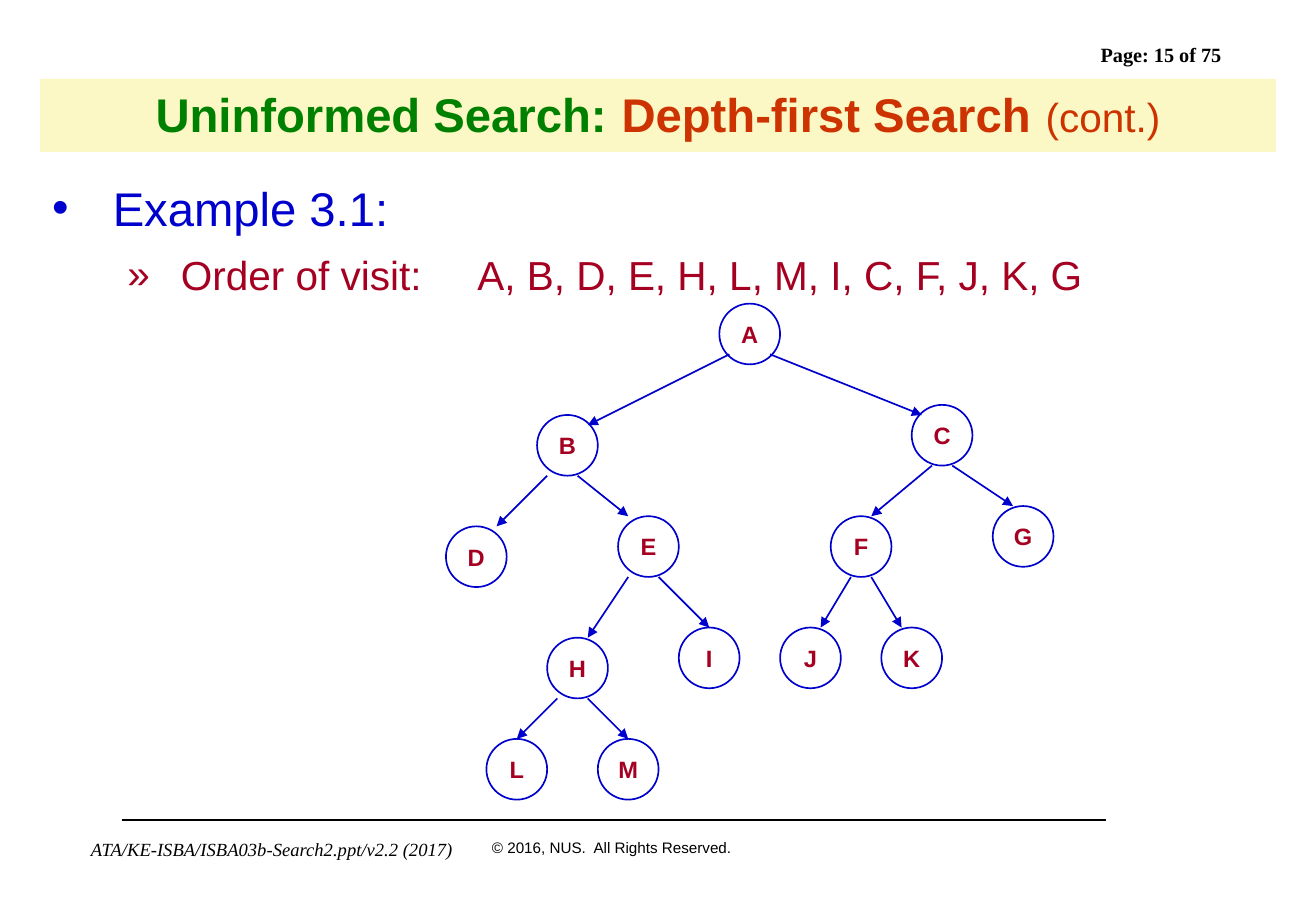
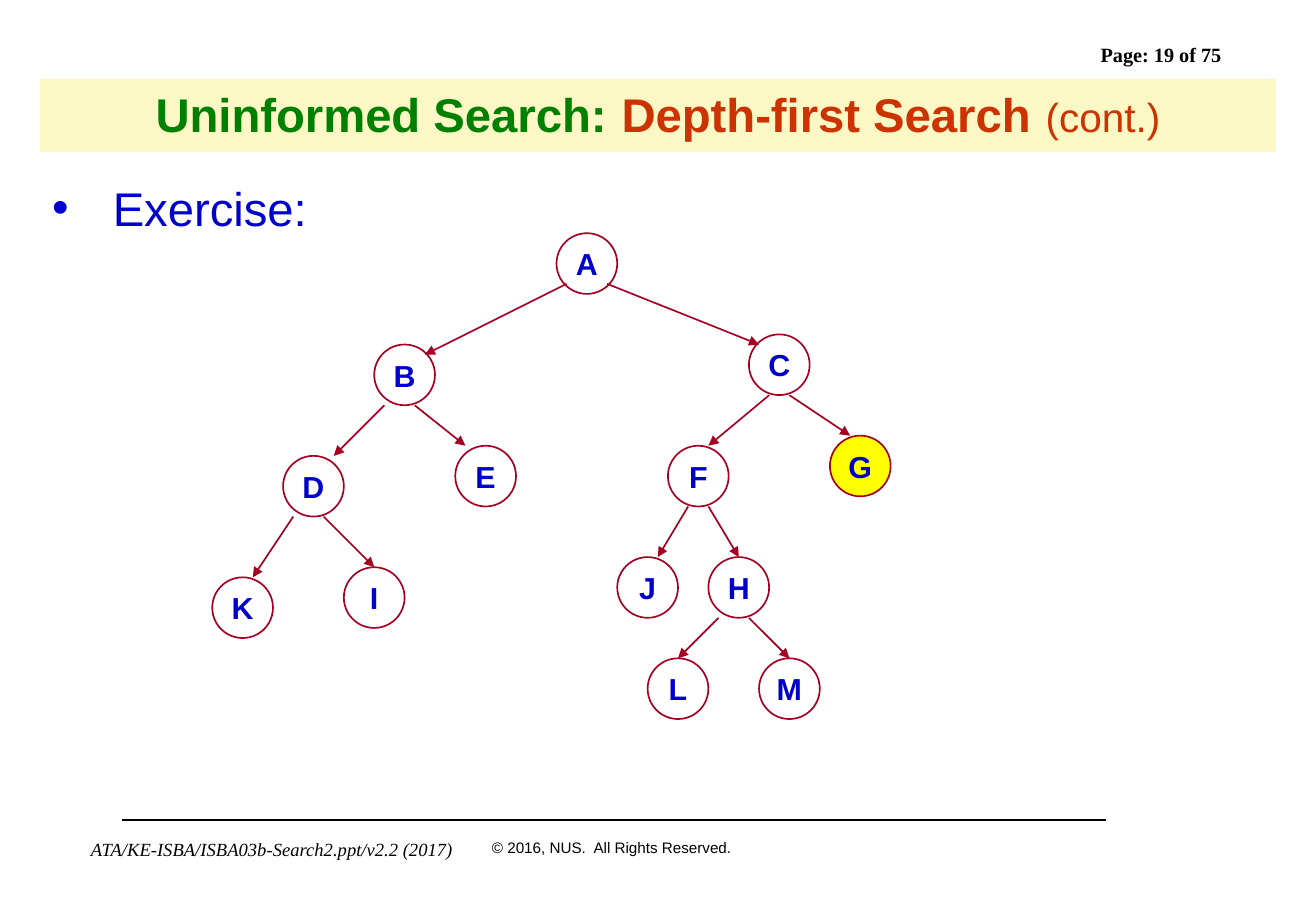
from lxml import etree
from pptx import Presentation
from pptx.dml.color import RGBColor
from pptx.enum import shapes as kinds, text as txt
from pptx.oxml import ns
from pptx.util import Inches, Pt

HUE = {"ink": "000000", "band": "FBF8C5", "green": "008000", "orange": "CC3300",
       "blue": "0000CC", "red": "A50021", "white": "FFFFFF", "gold": "FFFF00"}
MID = txt.PP_ALIGN.CENTER
UNIT = 1 / 12  # grid step of the trees
SIDE = 6       # node diameter in grid steps

# Column and row of each node, counted from the root
TOP = {"A": (0, 0), "B": (-18, 11), "C": (19, 10), "D": (-27, 22),
       "E": (-10, 21), "F": (11, 21), "G": (27, 20)}
# Where each arrow leaves its parent and enters its child, across the node
LINKS = {"AB": (1, 5), "AC": (5, 1), "BD": (1, 5), "BE": (4, 1),
         "CF": (2, 4), "CG": (4, 2), "FJ": (2, 4), "HL": (1, 3), "HM": (4, 3)}


def color(name):
    return RGBColor.from_string(HUE[name])


def write(para, words, size=12, hue="ink", font="Arial", bold=False, italic=False):
    run = para.add_run()
    run.text = words
    run.font.size, run.font.name = Pt(size), font
    run.font.bold, run.font.italic = bold, italic
    run.font.color.rgb = color(hue)


def frame(shape, wrap=True, pad=(0.1, 0.05), anchor=txt.MSO_ANCHOR.TOP):
    tf = shape.text_frame
    tf.word_wrap, tf.vertical_anchor = wrap, anchor
    tf.auto_size = txt.MSO_AUTO_SIZE.NONE
    tf.margin_left = tf.margin_right = Inches(pad[0])
    tf.margin_top = tf.margin_bottom = Inches(pad[1])
    return tf


def label(slide, box, words, wrap=False, **style):
    tf = frame(slide.shapes.add_textbox(*map(Inches, box)), wrap)
    write(tf.paragraphs[0], words, **style)


def line(parts, start, end, hue, arrow=False):
    link = parts.add_connector(kinds.MSO_CONNECTOR.STRAIGHT,
                               *map(Inches, (*start, *end)))
    link.line.color.rgb, link.line.width = color(hue), Pt(1)
    if arrow:
        etree.SubElement(link.line._get_or_add_ln(), ns.qn("a:tailEnd"), type="triangle")
    etree.SubElement(link._element.spPr, ns.qn("a:effectLst"))


def title(slide, box):
    band = slide.shapes.title
    band.left, band.top, band.width, band.height = map(Inches, box)
    band.fill.solid()
    band.fill.fore_color.rgb = color("band")
    para = frame(band, anchor=txt.MSO_ANCHOR.MIDDLE).paragraphs[0]
    para.alignment, para.line_spacing = MID, 0.9
    for words, size, hue, bold in (
            ("Uninformed Search:", 28, "green", True), (" ", 32, "green", True),
            ("Depth-first Search", 28, "orange", True), (" ", 32, "orange", True),
            ("(cont.)", 24, "orange", False)):
        write(para, words, size=size, hue=hue, bold=bold)


def footer(slide, page):
    line(slide.shapes, (1, 6.75), (9.1, 6.75), "ink")
    label(slide, (8.96, 0.3, 1.44, 0.3), f"Page: {page} of 75", wrap=True,
          font="Times New Roman", bold=True)
    label(slide, (0.65, 6.85, 3.22, 0.28), "ATA/KE-ISBA/ISBA03b-Search2.ppt/v2.2 (2017)",
          size=11, font="Times New Roman", italic=True)
    label(slide, (3.95, 6.85, 2.19, 0.25), "© 2016, NUS.  All Rights Reserved.", size=9)


def body(slide, box, items):
    levels = (("•", 0.5, 0.5, 28, "blue"), ("»", 1.06, 0.44, 24, "red"))
    tf = frame(slide.shapes.add_textbox(*map(Inches, box)))
    for i, (words, level) in enumerate(zip(items, levels)):
        mark, left, hang, size, hue = level
        para = tf.add_paragraph() if i else tf.paragraphs[0]
        para.level, para.line_spacing = i, 1.2
        if i:
            para.space_before = Pt(3)
        props = para._p.get_or_add_pPr()
        props.set("marL", str(Inches(left)))
        props.set("indent", str(-Inches(hang)))
        etree.SubElement(props, ns.qn("a:buFont"), typeface="Arial")
        etree.SubElement(props, ns.qn("a:buChar"), char=mark)
        write(para, words, size=size, hue=hue)


def tree(slide, root, low, links, edge, ink, size, goal=""):
    """Draw a tree whose root node has its top left corner at root."""
    spots = TOP | low
    parts = slide.shapes.add_group_shape().shapes

    def place(name, dx=0, dy=0):
        col, row = spots[name]
        return root[0] + (col + dx) * UNIT, root[1] + (row + dy) * UNIT

    # Nodes
    for name in spots:
        node = parts.add_shape(kinds.MSO_SHAPE.OVAL, *map(
            Inches, (*place(name), SIDE * UNIT, SIDE * UNIT)))
        node.shadow.inherit = False
        node.fill.solid()
        node.fill.fore_color.rgb = color("gold" if name == goal else "white")
        node.line.color.rgb, node.line.width = color(edge), Pt(1)
        para = frame(node, False, (0, 0), txt.MSO_ANCHOR.MIDDLE).paragraphs[0]
        para.alignment = MID
        write(para, name, size=size, hue=ink, bold=True)
    # Arrows: those of the root start and end inside the node's box
    for (parent, child), (out, into) in (LINKS | links).items():
        inset = 1 if parent == "A" else 0
        line(parts, place(parent, out, SIDE - inset), place(child, into, inset),
             edge, arrow=True)


def page(deck, number, items):
    slide = deck.slides.add_slide(deck.slide_layouts[5])
    footer(slide, number)
    title(slide, (0.33, 0.65, 10.17, 0.6))
    body(slide, (0.33, 1.33, 10.17, 5.25), items)
    return slide


def main():
    deck = Presentation()
    deck.slide_width, deck.slide_height = Inches(10.83), Inches(7.5)

    # Worked example
    slide = page(deck, 15, ["Example 3.1:",
                            "Order of visit:\tA, B, D, E, H, L, M, I, C, F, J, K, G"])
    tree(slide, (5.92, 2.5),
         {"H": (-17, 33), "I": (-4, 32), "J": (6, 32), "K": (16, 32),
          "L": (-23, 43), "M": (-12, 43)},
         {"EH": (1, 4), "EI": (4, 3), "FK": (4, 2)}, "blue", "red", 14)

    # Exercise
    slide = page(deck, 19, ["Exercise:"])
    tree(slide, (4.58, 1.92),
         {"K": (-34, 34), "I": (-21, 33), "J": (6, 32), "H": (15, 32),
          "L": (9, 42), "M": (20, 42)},
         {"DK": (1, 4), "DI": (4, 3), "FH": (4, 3)}, "red", "blue", 18, goal="G")

    deck.save("out.pptx")


if __name__ == "__main__":
    main()
